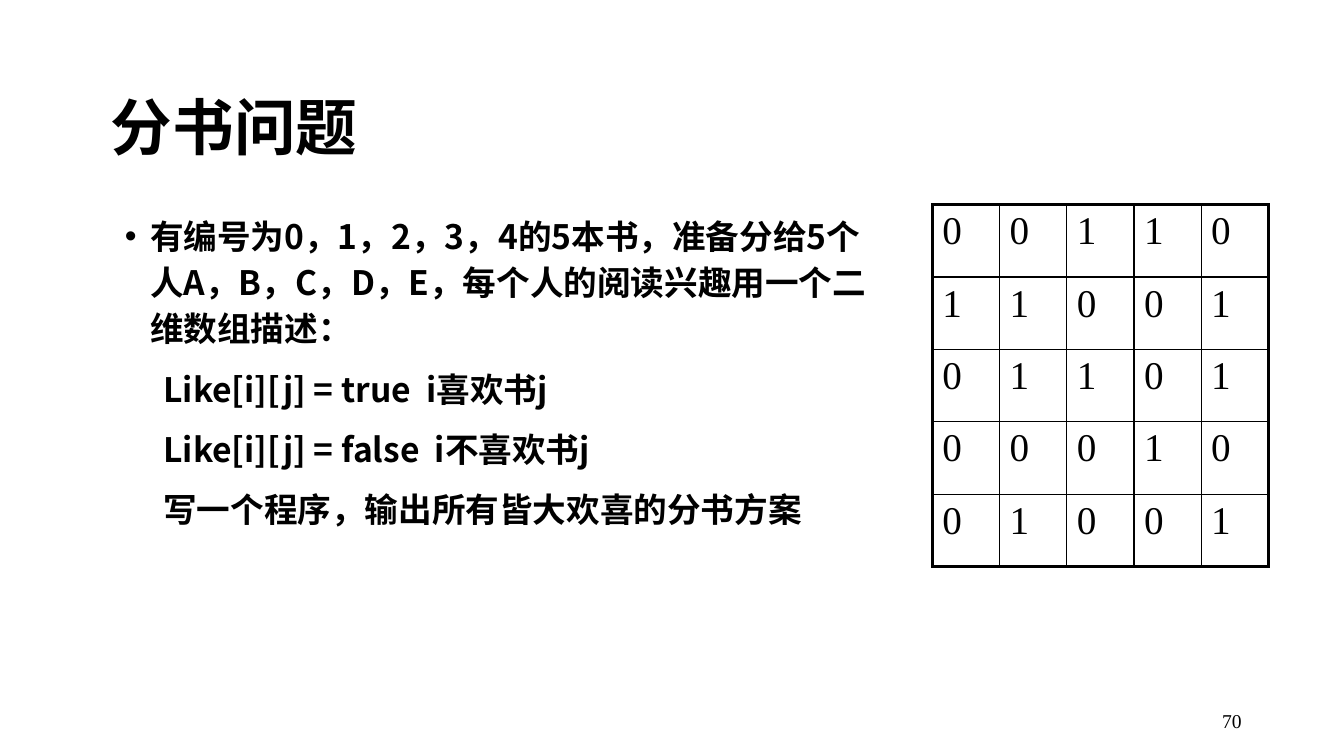
from dataclasses import dataclass

from lxml import etree
from pptx import Presentation
from pptx.dml.color import RGBColor
from pptx.enum.text import MSO_ANCHOR, MSO_AUTO_SIZE, PP_ALIGN
from pptx.oxml.ns import qn
from pptx.util import Pt

LEFT, RIGHT = PP_ALIGN.LEFT, PP_ALIGN.RIGHT
MIDDLE, TOP = MSO_ANCHOR.MIDDLE, MSO_ANCHOR.TOP
NO_AUTOFIT = MSO_AUTO_SIZE.NONE


@dataclass(frozen=True)
class Theme:
    """Colours, fonts, type sizes and line widths of the slide."""
    ink: str = "000000"
    paper: str = "FFFFFF"
    heading_font: str = "Noto Sans CJK SC"
    number_font: str = "Times New Roman"
    title_size: int = 44
    body_size: int = 24
    cell_size: int = 28
    page_size: int = 14
    inner_line: float = 1
    outer_line: float = 2.25


THEME = Theme()
TITLE = "分书问题"
PROBLEM = "有编号为0，1，2，3，4的5本书，准备分给5个人A，B，C，D，E，每个人的阅读兴趣用一个二维数组描述："
RULES = [
    "Like[i][j] = true  i喜欢书j",
    "Like[i][j] = false  i不喜欢书j",
    "写一个程序，输出所有皆大欢喜的分书方案",
]
LIKES = ["00110", "11001", "01101", "00010", "01001"]


def place(shape, left, top, width, height):
    """Move and size a shape, in points."""
    shape.left, shape.top = Pt(left), Pt(top)
    shape.width, shape.height = Pt(width), Pt(height)


def style_runs(paragraph, font_name, size, bold=False):
    """Format every run of a paragraph for Latin and East Asian text."""
    for run in paragraph.runs:
        run.font.size = Pt(size)
        run.font.bold = bold
        run.font.color.rgb = RGBColor.from_string(THEME.ink)
        run.font.name = font_name
        east_asian = etree.SubElement(run.font._element, qn("a:ea"))
        east_asian.set("typeface", font_name)


def set_bullet(paragraph, margin, indent, bullet=None):
    """Set the indents of a paragraph and its bullet, if any."""
    properties = paragraph._p.get_or_add_pPr()
    properties.set("marL", str(Pt(margin)))
    properties.set("indent", str(Pt(indent)))
    if bullet:
        etree.SubElement(properties, qn("a:buFont")).set("typeface", "Arial")
        etree.SubElement(properties, qn("a:buChar")).set("char", bullet)
    else:
        etree.SubElement(properties, qn("a:buNone"))


def fill_title(title):
    """Write the heading into the title placeholder."""
    place(title, 72, 48, 816, 90)
    frame = title.text_frame
    frame.text = TITLE
    frame.auto_size = NO_AUTOFIT
    frame.vertical_anchor = MIDDLE
    heading = frame.paragraphs[0]
    heading.alignment = LEFT
    heading.line_spacing = 0.9
    style_runs(heading, THEME.heading_font, THEME.title_size, bold=True)


def fill_body(body):
    """Write the problem and its rules into the body placeholder."""
    place(body, 82, 146, 554.5, 346)
    frame = body.text_frame
    frame.text = "\n".join([PROBLEM, *RULES])
    frame.auto_size = NO_AUTOFIT
    frame.vertical_anchor = TOP
    for index, paragraph in enumerate(frame.paragraphs):
        if index == 0:
            set_bullet(paragraph, 18, -18, "•")
        else:
            set_bullet(paragraph, 27.5, 0)
        paragraph.space_before = Pt(10 if index else 0)
        paragraph.line_spacing = 1.15
        style_runs(paragraph, THEME.heading_font, THEME.body_size, bold=True)


def set_border(cell, side, width):
    """Draw one side of a cell as a solid line."""
    line = etree.SubElement(cell._tc.get_or_add_tcPr(), qn(f"a:{side}"))
    line.set("w", str(Pt(width)))
    fill = etree.SubElement(line, qn("a:solidFill"))
    etree.SubElement(fill, qn("a:srgbClr")).set("val", THEME.ink)


def add_likes_table(slide):
    """Add the matrix of readers and books with a heavy outer frame."""
    count = len(LIKES)
    frame = slide.shapes.add_table(
        count, count, Pt(666), Pt(146.25), Pt(240), Pt(258.5))
    table = frame.table
    table.first_row = table.horz_banding = False
    for row, values in enumerate(LIKES):
        for column, value in enumerate(values):
            cell = table.cell(row, column)
            cell.text = value
            style_runs(cell.text_frame.paragraphs[0],
                       THEME.number_font, THEME.cell_size)
            outer_sides = {"lnL": column == 0, "lnR": column == count - 1,
                           "lnT": row == 0, "lnB": row == count - 1}
            for side, is_outer in outer_sides.items():
                set_border(cell, side,
                           THEME.outer_line if is_outer else THEME.inner_line)
            cell.fill.solid()
            cell.fill.fore_color.rgb = RGBColor.from_string(THEME.paper)


def add_page_number(slide):
    """Add the page number at the lower right."""
    box = slide.shapes.add_textbox(Pt(678), Pt(500.5), Pt(216), Pt(29))
    frame = box.text_frame
    frame.word_wrap = True
    frame.vertical_anchor = MIDDLE
    frame.text = "70"
    number = frame.paragraphs[0]
    number.alignment = RIGHT
    style_runs(number, THEME.number_font, THEME.page_size)


def main():
    """Build the slide and save it."""
    presentation = Presentation()
    presentation.slide_width, presentation.slide_height = Pt(960), Pt(540)
    slide = presentation.slides.add_slide(presentation.slide_layouts[1])
    fill_title(slide.shapes.title)
    fill_body(slide.placeholders[1])
    add_likes_table(slide)
    add_page_number(slide)
    presentation.save("out.pptx")


if __name__ == "__main__":
    main()
